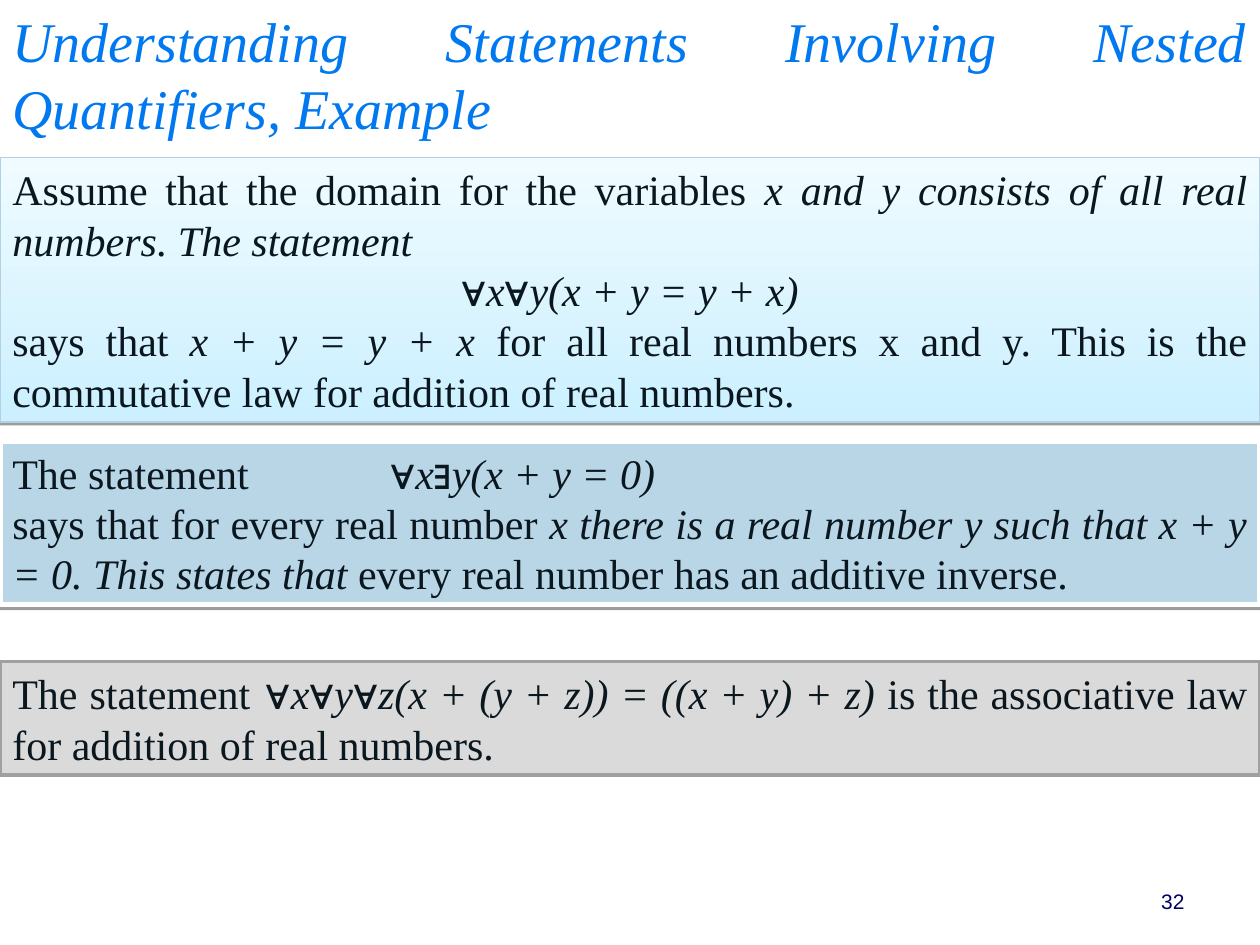
import pptx
import pptx.dml.color
import pptx.enum.shapes
import pptx.enum.text
import pptx.oxml
import pptx.oxml.ns
import pptx.util

W, H = 10, 7.5
INK = "0B171F"
SERIF = "Times New Roman"
ALIGN = pptx.enum.text.PP_ALIGN
NS = pptx.oxml.ns.nsdecls("a")


def rgb(hex_text):
    return pptx.dml.color.RGBColor.from_string(hex_text)


def inches(*lengths):
    return [pptx.util.Inches(v) for v in lengths]


def add_tabs(p):
    """Put a left tab stop at every inch."""
    stops = "".join(f'<a:tab pos="{pptx.util.Inches(i)}" algn="l"/>' for i in range(8))
    p._p.get_or_add_pPr().append(pptx.oxml.parse_xml(f"<a:tabLst {NS}>{stops}</a:tabLst>"))


def add_text(tf, paragraphs, size=24, font=SERIF, color=INK, italic=False):
    """Fill the frame from (alignment, runs); italic style alternates from run to run."""
    tf.word_wrap = True
    tf.vertical_anchor = pptx.enum.text.MSO_ANCHOR.TOP
    for i, (align, runs) in enumerate(paragraphs):
        p = tf.paragraphs[0] if i == 0 else tf.add_paragraph()
        p.alignment = align
        add_tabs(p)
        for j, text in enumerate(runs):
            r = p.add_run()
            r.text = text
            r.font.size = pptx.util.Pt(size)
            r.font.name = font
            r.font.color.rgb = rgb(color)
            r.font.italic = italic != (j % 2 == 1)


def add_label(s, left, top, width, height, text, align, **style):
    sp = s.shapes.add_textbox(*inches(left, top, width, height))
    add_text(sp.text_frame, [(align, [text])], **style)


def add_shadow(sp):
    sp._element.spPr.append(pptx.oxml.parse_xml(
        f'<a:effectLst {NS}><a:outerShdw blurRad="0" dist="{pptx.util.Pt(1.6)}" '
        'dir="5400000" algn="ctr" rotWithShape="0"><a:srgbClr val="000000">'
        '<a:alpha val="38000"/></a:srgbClr></a:outerShdw></a:effectLst>'))


def add_panel(s, top, height, fills, line, line_width, paragraphs, shadow=True):
    """Add a full-width panel; two fills make a gradient from bottom to top."""
    sp = s.shapes.add_shape(pptx.enum.shapes.MSO_SHAPE.RECTANGLE, *inches(0, top, W, height))
    if len(fills) == 2:
        sp.fill.gradient()
        sp.fill.gradient_angle = 90
        for stop, color, position in zip(sp.fill.gradient_stops, fills, (0, 1)):
            stop.color.rgb = rgb(color)
            stop.position = position
    else:
        sp.fill.solid()
        sp.fill.fore_color.rgb = rgb(fills[0])
    sp.line.color.rgb = rgb(line)
    sp.line.width = pptx.util.Pt(line_width)
    if shadow:
        add_shadow(sp)
    else:
        sp.shadow.inherit = False
    add_text(sp.text_frame, paragraphs)
    sp.text_frame.auto_size = pptx.enum.text.MSO_AUTO_SIZE.SHAPE_TO_FIT_TEXT


def main():
    prs = pptx.Presentation()
    prs.slide_width, prs.slide_height = inches(W, H)
    s = prs.slides.add_slide(prs.slide_layouts[6])

    add_label(s, 7.17, 7, 2.33, 0.5, "32", ALIGN.RIGHT,
              size=12, font="Arial", color="000066")
    add_label(s, 0, 0, W, 0.83,
              "Understanding Statements Involving Nested Quantifiers, Example",
              ALIGN.JUSTIFY, size=32, color="0078F0", italic=True)

    add_panel(s, 1.25, 2.1, ["CCF0FF", "EFFBFF"], "B4D1E3", 0.75, [
        (ALIGN.JUSTIFY, ["Assume that the domain for the variables ",
                         "x and y consists of all real numbers. The statement"]),
        (ALIGN.CENTER, ["∀", "x∀y(x + y = y + x)"]),
        (ALIGN.JUSTIFY, ["says that ", "x + y = y + x ",
                         "for all real numbers x and y. This is the commutative law "
                         "for addition of real numbers. "]),
    ])
    add_panel(s, 3.5, 1.3, ["B9D6E7"], "FFFFFF", 3, [
        (ALIGN.LEFT, ["The statement \t\t∀", "x∃y(x + y = 0)"]),
        (ALIGN.JUSTIFY, ["says that for every real number ",
                         "x there is a real number y such that x + y = 0. This states that ",
                         "every real number has an additive inverse."]),
    ])
    add_panel(s, 5.25, 0.9, ["DADADA"], "A0A0A0", 2, [
        (ALIGN.JUSTIFY, ["The statement\t∀", "x∀y∀z(x + (y + z)) = ((x + y) + z) ",
                         "is the associative law for addition of real numbers."]),
    ], shadow=False)

    prs.save("out.pptx")


if __name__ == "__main__":
    main()
